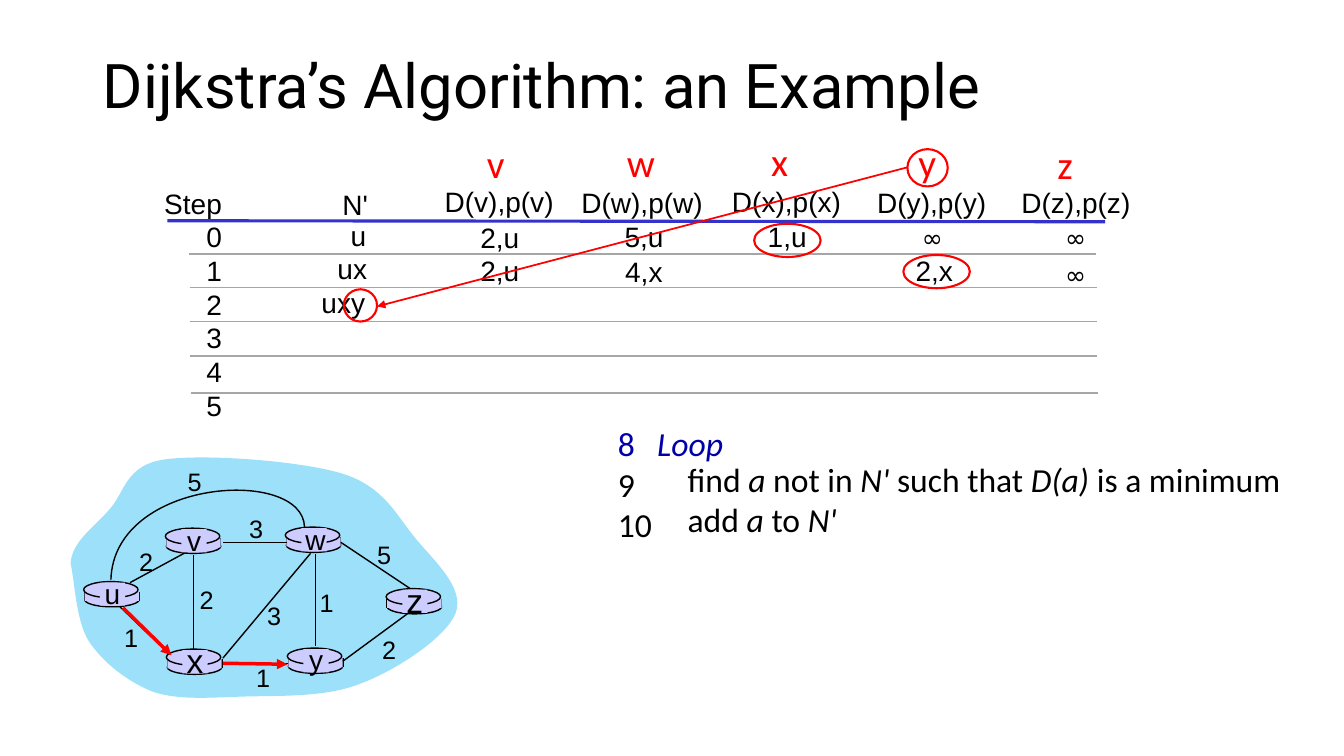
from dataclasses import dataclass

from lxml import etree
from pptx import Presentation
from pptx import util as u
from pptx.dml.color import RGBColor
from pptx.enum import shapes, text
from pptx.oxml.ns import qn

PX = 9144
SHAPE, ALIGN = shapes.MSO_SHAPE, text.PP_ALIGN


@dataclass(frozen=True)
class Theme:
    """Hold the colours, fonts and type sizes of the slide."""
    black: str = "000000"
    red: str = "FF0000"
    rule: str = "3333CC"
    grid: str = "A6A6A6"
    keyword: str = "0000A8"
    cloud: str = "9CE0FA"
    router: str = "CCCCFF"
    title_font: str = "Roboto"
    cell_font: str = "Arial"
    code_font: str = "Calibri"
    symbol_font: str = "Comic Neue"
    title: int = 44
    heading: int = 28
    code: int = 24
    cell: int = 20
    small: int = 18


T = Theme()
HEADINGS = [("v", 473, 133, 38), ("w", 612, 132, 48), ("x", 755, 131, 37),
            ("y", 901, 132, 38), ("z", 1039, 134, 36)]
CELLS = [("N'", 329, 181, 46), ("D(v),p(v)", 430, 178, 129),
         ("D(w),p(w)", 565, 179, 142), ("D(x),p(x)", 715, 178, 129),
         ("D(y),p(y)", 859, 179, 129), ("D(z),p(z)", 1002, 179, 129),
         ("u", 337, 212, 36), ("2,u", 466, 214, 59), ("5,u", 609, 213, 59),
         ("1,u", 751, 213, 59), ("ux", 324, 245, 50), ("2,u", 466, 247, 59),
         ("4,x", 609, 248, 58), ("2,x", 897, 247, 58), ("uxy", 308, 278, 64)]
INFINITIES = [(904, 216), (1046, 216), (1046, 252)]
GRID = [(187, 252), (188, 285), (188, 319), (188, 353), (189, 390)]
RINGS = [(748, 222, 66, 33), (896, 253, 66, 33), (900, 148, 40, 37), (341, 287, 33, 32)]
ROUTERS = {"u": (84, 588, T.cell), "x": (166, 655, T.code), "v": (165, 535, T.cell),
           "w": (284, 534, T.cell), "y": (286, 654, T.cell), "z": (384, 595, T.code)}
EDGES = [(129, 578, 188, 546), (313, 550, 313, 641), (192, 551, 192, 645),
         (221, 653, 308, 549), (340, 656, 404, 609), (286, 658, 222, 658),
         (167, 648, 119, 602), (285, 538, 221, 538), (407, 584, 338, 538)]
COSTS = [("2", 128, 537), ("2", 188, 575), ("1", 113, 612), ("3", 255, 591),
         ("1", 244, 652), ("1", 307, 578), ("2", 369, 624), ("5", 364, 530),
         ("3", 237, 504), ("5", 176, 458)]
CLOUD = [(70, 559), (71, 538), (93, 523), (108, 506), (124, 489), (124, 462), (162, 456),
         (201, 450), (298, 457), (340, 470), (381, 483), (393, 511), (412, 534),
         (431, 557), (461, 583), (452, 608), (443, 632), (393, 665), (358, 678),
         (324, 692), (277, 690), (243, 691), (208, 692), (177, 695), (151, 686),
         (126, 676), (102, 657), (88, 636), (75, 615), (74, 575), (70, 559)]
ARC = [(302, 523), (301, 463), (113, 474), (110, 575)]


def assign(obj, values):
    """Set each named attribute of an object."""
    for name, value in values.items():
        setattr(obj, name, value)


def emu(*lengths):
    """Turn px into EMU."""
    return [n * PX for n in lengths]


def write(tf, words, size, colour=T.black, font=T.cell_font, align=ALIGN.LEFT):
    """Write lines of text, with italics between asterisks."""
    for n, line_words in enumerate(words.split("\n")):
        p = tf.add_paragraph() if n else tf.paragraphs[0]
        p.alignment = align
        for i, part in enumerate(line_words.split("*")):
            if part:
                r = p.add_run()
                r.text = part
                assign(r.font, {"name": font, "size": u.Pt(size), "italic": i % 2 == 1})
                r.font.color.rgb = RGBColor.from_string(colour)


def label(s, words, box, size, **style):
    """Add an unwrapped text box."""
    tf = s.shapes.add_textbox(*emu(*box)).text_frame
    assign(tf, {"word_wrap": False, "auto_size": text.MSO_AUTO_SIZE.SHAPE_TO_FIT_TEXT,
                "vertical_anchor": text.MSO_ANCHOR.TOP})
    write(tf, words, size, **style)
    return tf


def paint(sp, fill=None, line=None, width=1):
    """Set the fill and outline of a shape."""
    sp.shadow.inherit = False
    for part, colour in ((sp.fill, fill), (sp.line.fill, line)):
        if colour:
            part.solid()
            part.fore_color.rgb = RGBColor.from_string(colour)
        else:
            part.background()
    if line:
        sp.line.width = u.Pt(width)


def shape(s, kind, box, **style):
    """Add a painted preset shape."""
    paint(s.shapes.add_shape(kind, *emu(*box)), **style)


def line(s, ends, colour=T.black, width=1, arrow=False):
    """Add a straight line, with an arrowhead if wanted."""
    c = s.shapes.add_connector(shapes.MSO_CONNECTOR.STRAIGHT, *emu(*ends))
    c.line.color.rgb = RGBColor.from_string(colour)
    c.line.width = u.Pt(width)
    pr = c.element.spPr
    if arrow:
        etree.SubElement(pr.find(qn("a:ln")), qn("a:tailEnd"), type="triangle")
    etree.SubElement(pr, qn("a:effectLst"))


def curve(s, points, close, **style):
    """Add an outline whose points are the knots and handles of cubic curves."""
    builder = s.shapes.build_freeform(*points[0], scale=PX)
    builder.add_line_segments(points[1:], close=close)
    sp = builder.convert_to_shape()
    segments = list(sp.element.iter(qn("a:lnTo")))
    for i in range(0, len(segments), 3):
        bezier = etree.Element(qn("a:cubicBezTo"))
        segments[i].addprevious(bezier)
        for segment in segments[i:i + 3]:
            bezier.append(segment[0])
            segment.getparent().remove(segment)
    paint(sp, **style)


def router(s, x, y):
    """Draw the disc of one router."""
    shape(s, SHAPE.OVAL, (x, y, 54, 14), fill=T.router, line=T.black)
    for side in (x, x + 54):
        line(s, (side, y - 1, side, y + 8))
    shape(s, SHAPE.RECTANGLE, (x, y - 1, 54, 9), fill=T.router)
    shape(s, SHAPE.OVAL, (x - 1, y - 11, 54, 16), fill=T.router, line=T.black)


def title(s, words):
    """Fill and place the title placeholder."""
    sp = s.shapes.title
    assign(sp, dict(zip(("left", "top", "width", "height"), emu(92, 39, 1223, 98))))
    assign(sp.text_frame, {"auto_size": text.MSO_AUTO_SIZE.NONE,
                           "vertical_anchor": text.MSO_ANCHOR.MIDDLE})
    write(sp.text_frame, words, T.title, font=T.title_font)
    sp.text_frame.paragraphs[0].line_spacing = 0.9


def table(s):
    """Lay out the step table with its rules and marks."""
    label(s, "Step\n0\n1\n2\n3\n4\n5", (153, 180, 77, 243), T.cell, align=ALIGN.RIGHT)
    line(s, (166, 219, 1096, 220), T.rule, 2.25)
    for x, y in GRID:
        line(s, (x, y, x + 900, y), T.grid)
    for words, x, y, w in HEADINGS:
        label(s, words, (x, y, w, 57), T.heading, colour=T.red, font=T.code_font)
    for words, x, y, w in CELLS:
        label(s, words, (x, y, w, 44), T.cell, align=ALIGN.RIGHT)
    for x, y in INFINITIES:
        label(s, "∞", (x, y, 41, 40), T.small, font=T.symbol_font, align=ALIGN.RIGHT)
    for box in RINGS:
        shape(s, SHAPE.OVAL, box, line=T.red, width=1.5)
    line(s, (900, 166, 374, 304), T.red, 1.25, arrow=True)


def network(s):
    """Draw the network graph with its link costs."""
    curve(s, CLOUD, True, fill=T.cloud)
    for x, y, _ in ROUTERS.values():
        router(s, x, y)
    for ends in EDGES:
        line(s, ends)
    curve(s, ARC, False, line=T.black)
    for name, (x, y, size) in ROUTERS.items():
        height = 50 if size == T.code else 43
        shape(s, SHAPE.RECTANGLE, (x + 15, y - 10, 25, 23), fill=T.router)
        label(s, name, (x + 9, y - height // 2, 37, height), size, align=ALIGN.CENTER)
    for cost, x, y in COSTS:
        label(s, cost, (x, y, 34, 40), T.small, align=ALIGN.CENTER)
    for ends in ((122, 603, 170, 650), (221, 658, 285, 659)):
        line(s, ends, T.red, 2.5, arrow=True)


def code_block(s, words, box, left):
    """Add lines of code that start one line below the top of their box."""
    tf = label(s, words, box, T.code, font=T.code_font)
    assign(tf, {"auto_size": text.MSO_AUTO_SIZE.NONE,
                "margin_top": u.Emu(45 * PX), "margin_left": u.Emu(left * PX)})
    return tf


def loop_code(s):
    """Write the numbered lines of the loop."""
    p = code_block(s, "8\t*Loop*\n9\n10", (603, 375, 134, 212), 10).paragraphs[0]
    for r in p.runs:
        r.font.color.rgb = RGBColor.from_string(T.keyword)
    tabs = etree.SubElement(p._p.get_or_add_pPr(), qn("a:tabLst"))
    etree.SubElement(tabs, qn("a:tab"), pos=str(39 * PX), algn="l")
    code_block(s, "find *a* not in *N' *such that *D(a) *is a minimum\nadd *a* to *N'*",
               (665, 410, 641, 131), 17)


def main():
    """Build and save the slide."""
    prs = Presentation()
    assign(prs, {"slide_width": u.Emu(1333 * PX), "slide_height": u.Emu(750 * PX)})
    s = prs.slides.add_slide(prs.slide_layouts[5])
    title(s, "Dijkstra’s Algorithm: an Example")
    table(s)
    network(s)
    loop_code(s)
    prs.save("out.pptx")


if __name__ == "__main__":
    main()
